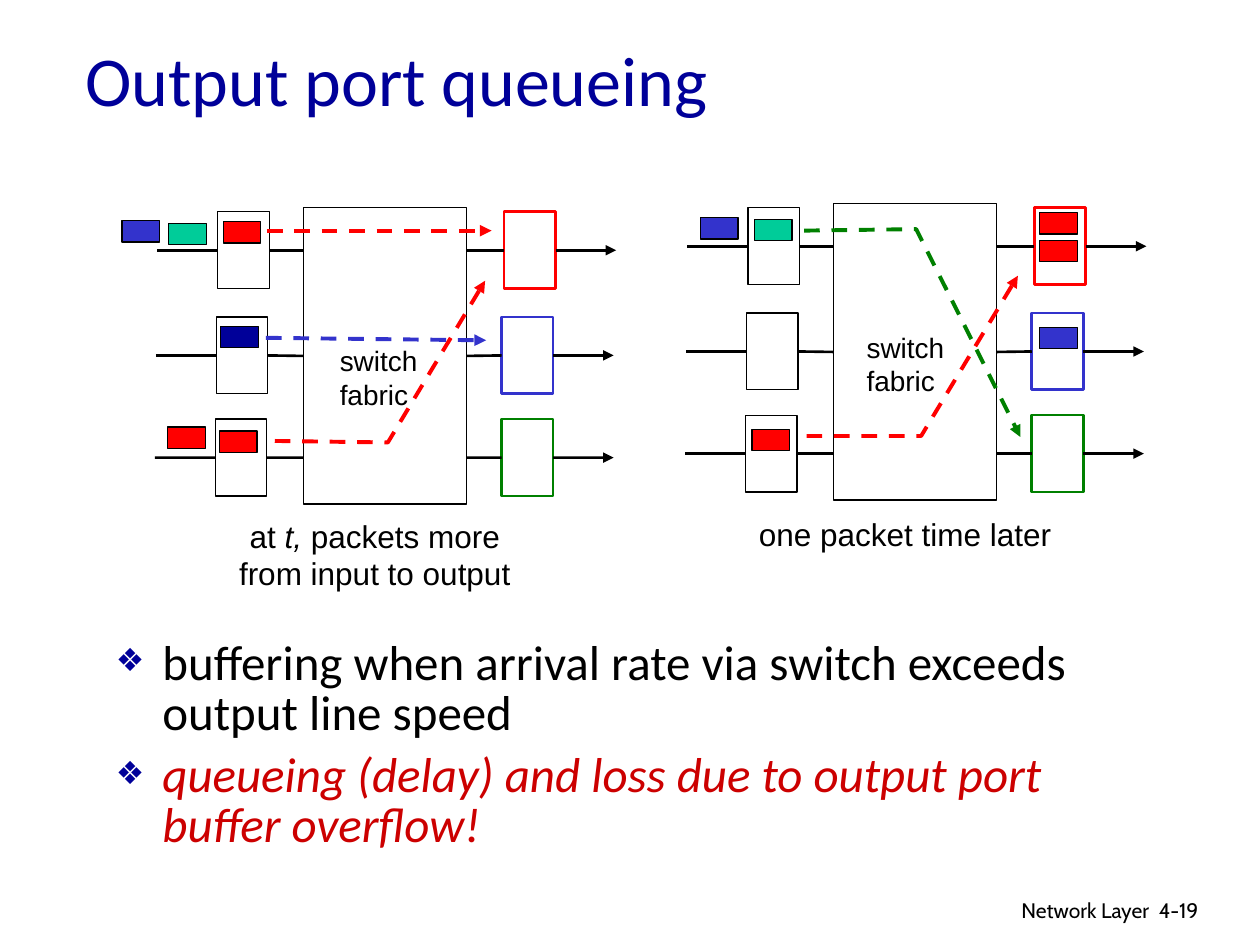
from dataclasses import dataclass
from itertools import pairwise

from lxml.etree import SubElement
from pptx import Presentation
from pptx.dml.color import RGBColor as Rgb
from pptx.enum.dml import MSO_LINE as Dash
from pptx.enum.shapes import MSO_CONNECTOR as Link, MSO_SHAPE as Kind
from pptx.enum.text import MSO_ANCHOR as Anchor, MSO_AUTO_SIZE as Fit, PP_ALIGN as Align
from pptx.oxml.ns import qn
from pptx.util import Cm, Pt


@dataclass(frozen=True)
class Theme:
    black: str = "000000"
    white: str = "FFFFFF"
    navy: str = "000099"
    red: str = "FF0000"
    blue: str = "3333CC"
    green: str = "008000"
    mint: str = "00CC99"
    alert: str = "CC0000"
    head: str = "Calibri"
    label: str = "Arial"
    foot: str = "Cabin"
    title: int = 40
    body: int = 28
    note: int = 18
    small: int = 16
    tiny: int = 12
    thin: float = 0.75
    wire: float = 1.5
    flow: float = 2.25


def write(frame, lines, font, size, color, align=Align.LEFT, anchor=Anchor.TOP, wrap=True):
    frame.word_wrap = wrap
    frame.auto_size = Fit.NONE
    frame.vertical_anchor = anchor
    for i, line in enumerate(lines):
        para = frame.paragraphs[0] if i == 0 else frame.add_paragraph()
        para.alignment = align
        for text, look in [(line, {})] if isinstance(line, str) else line:
            run = para.add_run()
            run.text = text
            run.font.name = font
            run.font.size = Pt(size)
            run.font.italic = look.get("italic", False)
            run.font.color.rgb = Rgb.from_string(look.get("color", color))


class Deck:
    """Draws styled elements on the current slide."""

    def __init__(self, theme):
        self.theme = theme
        self.show = Presentation()
        self.show.slide_width, self.show.slide_height = Cm(25.4), Cm(19.05)
        self.slide = self.show.slides.add_slide(self.show.slide_layouts[1])
        self.shapes = self.slide.shapes

    def place(self, shape, left, top, width, height):
        shape.left, shape.top = Cm(left), Cm(top)
        shape.width, shape.height = Cm(width), Cm(height)

    def title(self, text, *spot):
        t = self.theme
        self.place(self.shapes.title, *spot)
        write(self.shapes.title.text_frame, [text], t.head, t.title, t.navy,
              anchor=Anchor.MIDDLE)

    def bullets(self, lines, *spot):
        t = self.theme
        body = self.slide.placeholders[1]
        self.place(body, *spot)
        write(body.text_frame, lines, t.head, t.body, t.black)
        for para in body.text_frame.paragraphs:
            para.line_spacing = 0.85
            para.space_before = Pt(7)
            props = para._p.get_or_add_pPr()
            props.set("marL", str(Cm(0.94)))
            props.set("indent", str(-Cm(0.94)))
            tint = SubElement(props, qn("a:buClr"))
            SubElement(tint, qn("a:srgbClr"), val=t.navy)
            SubElement(props, qn("a:buSzPct"), val="65000")
            SubElement(props, qn("a:buChar"), char="❖")

    def text(self, lines, left, top, width, height, **look):
        box = self.shapes.add_textbox(Cm(left), Cm(top), Cm(width), Cm(height))
        write(box.text_frame, lines, color=self.theme.black, **look)

    def rect(self, left, top, width, height, fill, edge, weight):
        box = self.shapes.add_shape(Kind.RECTANGLE, Cm(left), Cm(top), Cm(width), Cm(height))
        box.shadow.inherit = False
        box.fill.solid()
        box.fill.fore_color.rgb = Rgb.from_string(fill)
        self.stroke(box.line, edge, weight)
        return box

    def packet(self, left, top, fill):
        self.rect(left, top, 0.76, 0.43, fill, self.theme.black, self.theme.thin)

    def stroke(self, line, color, weight, dash=False, arrow=False):
        line.color.rgb = Rgb.from_string(color)
        line.width = Pt(weight)
        if dash:
            line.dash_style = Dash.DASH
        if arrow:
            SubElement(line._get_or_add_ln(), qn("a:tailEnd"), type="triangle")

    def line(self, start, end, color, weight, source=None, target=None, **look):
        wire = self.shapes.add_connector(Link.STRAIGHT, *map(Cm, start + end))
        if source:
            wire.begin_connect(source, 3)
        if target:
            wire.end_connect(target, 1)
        self.stroke(wire.line, color, weight, **look)
        SubElement(wire._element.spPr, qn("a:effectLst"))

    def route(self, color, *points):
        look = {"dash": True, "arrow": True}
        if len(points) == 2:
            self.line(*points, color, self.theme.flow, **look)
            return
        start, *rest = [(Cm(x), Cm(y)) for x, y in points]
        path = self.shapes.build_freeform(*start)
        path.add_line_segments(rest, close=False)
        bend = path.convert_to_shape()
        bend.shadow.inherit = False
        bend.fill.background()
        self.stroke(bend.line, color, self.theme.flow, **look)

    def switch(self, left, top):
        t = self.theme
        wide, high, reach = 1.04, 1.55, 1.22
        right = left + 3.28
        core = self.rect(left, top, 3.28, 5.97, t.white, t.black, t.thin)
        rows = [(-1.73, 4.04, 0.08, t.red), (-1.76, 3.99, 2.2, t.blue),
                (-1.78, 3.99, 4.26, t.green)]
        for i, (near, far, drop, color) in enumerate(rows):
            near, far, y = left + near, left + far, top + drop
            mid = y + high / 2
            hub = core if i == 1 else None
            inlet = self.rect(near, y, wide, high, t.white, t.black, t.thin)
            outlet = self.rect(far, y, wide, high, t.white, color, t.wire)
            stops = [near - reach, near, near + wide, left, right, far,
                     far + wide, far + wide + reach]
            ends = [None, inlet, inlet, hub, hub, outlet, outlet, None]
            for j, (a, b) in enumerate(pairwise(stops)):
                if j % 2 == 0:
                    self.line((a, mid), (b, mid), t.black, t.wire,
                              ends[j], ends[j + 1], arrow=j == 6)


def main():
    t = Theme()
    deck = Deck(t)
    foot = {"font": t.foot, "size": t.tiny}
    deck.text(["Network Layer"], 15.37, 17.96, 8.05, 0.79, align=Align.RIGHT, **foot)
    deck.text(["4-19"], 23.11, 17.96, 1.88, 0.76, **foot)
    deck.title("Output port queueing", 1.47, 0.56, 21.59, 2.03)
    alert = {"color": t.alert, "italic": True}
    deck.bullets(["buffering when arrival rate via switch exceeds output line speed",
                  [("queueing (delay) and loss due to output port buffer overflow!", alert)]],
                 2.08, 12.78, 21.59, 3.3)

    deck.switch(6.12, 4.19)
    deck.switch(16.81, 4.11)

    packets = [(4.5, 4.47, t.red), (4.45, 6.58, t.navy), (4.42, 8.69, t.red),
               (3.4, 4.5, t.mint), (3.38, 8.61, t.red), (2.46, 4.45, t.blue),
               (20.96, 4.29, t.red), (20.96, 4.85, t.red), (20.96, 6.6, t.blue),
               (15.21, 4.42, t.mint), (15.16, 8.66, t.red), (14.12, 4.39, t.blue)]
    for packet in packets:
        deck.packet(*packet)

    deck.route(t.red, (5.38, 4.65), (9.91, 4.65))
    deck.route(t.blue, (5.36, 6.81), (9.8, 6.86))
    deck.route(t.red, (5.54, 8.89), (7.82, 8.92), (9.78, 5.66))
    deck.route(t.red, (16.26, 8.79), (18.57, 8.79), (20.52, 5.56))
    deck.route(t.green, (16.21, 4.65), (18.47, 4.62), (20.57, 8.81))

    for left, top in [(6.6, 6.81), (17.22, 6.53)]:
        deck.text(["switch", "fabric"], left, top, 2.06, 1.63,
                  font=t.label, size=t.small, wrap=False)
    note = {"font": t.label, "size": t.note, "align": Align.CENTER}
    deck.text([[("at ", {}), ("t,", {"italic": True}), (" packets more", {})],
               "from input to output"], 4.14, 10.29, 6.83, 1.78, **note)
    deck.text(["one packet time later"], 14.83, 10.26, 6.83, 1.02, **note)
    deck.show.save("out.pptx")


if __name__ == "__main__":
    main()
